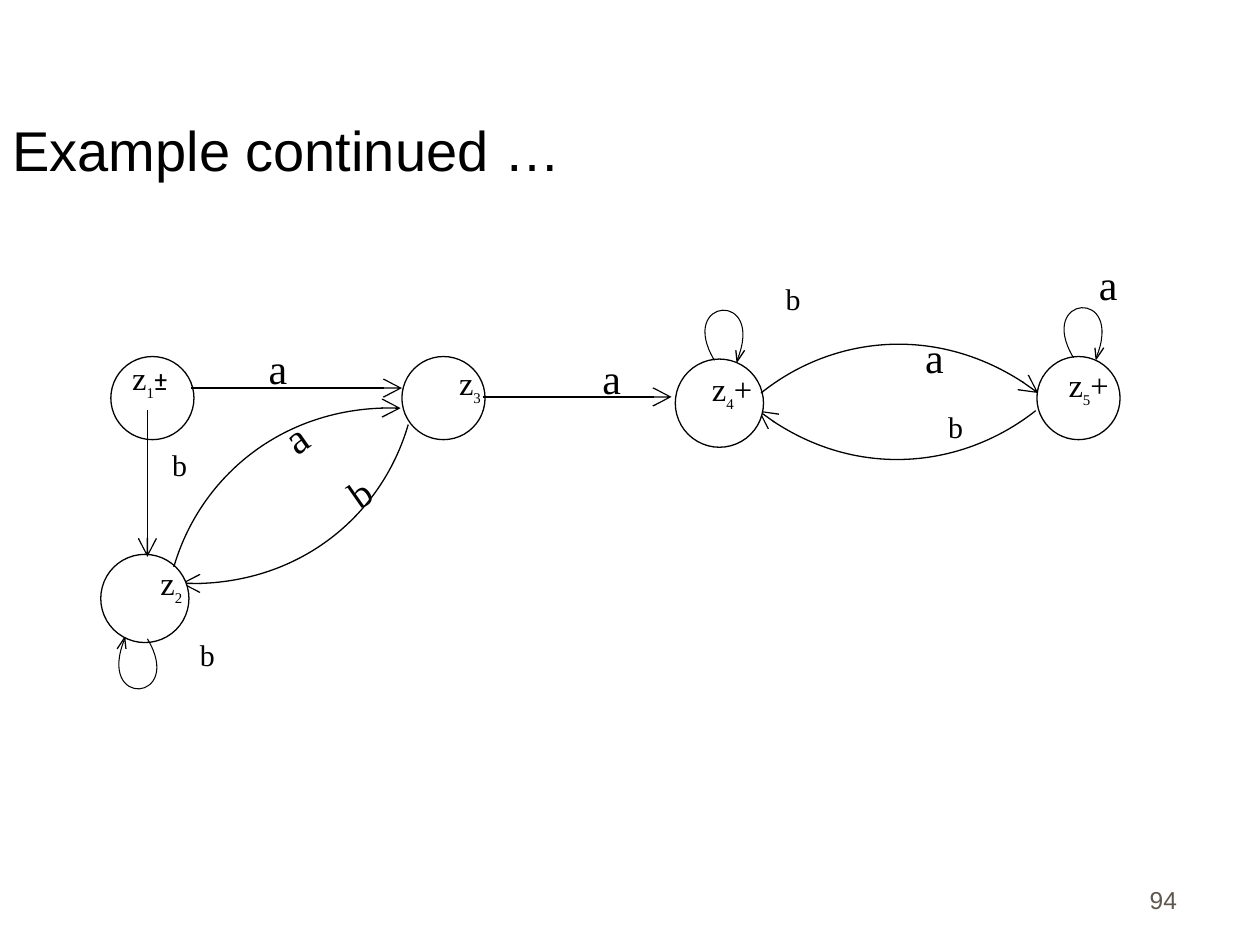
import pptx
import pptx.util
import pptx.dml.color
import pptx.enum.shapes
import pptx.enum.text
import pptx.oxml
import pptx.oxml.ns

PX = 9144  # EMU in one px, 100 px to the inch
BLACK = pptx.dml.color.RGBColor(0x00, 0x00, 0x00)
WHITE = pptx.dml.color.RGBColor(0xFF, 0xFF, 0xFF)
GREY = pptx.dml.color.RGBColor(0x5E, 0x57, 0x4E)
SERIF = "Times New Roman"
ALIGN = pptx.enum.text.PP_ALIGN
ANCHOR = pptx.enum.text.MSO_ANCHOR

# States: circle (x, y, size), label corner, name, index, mark
STATES = [
    ((8, 83, 66), (-1, 83), "z", "1", "±"),
    ((0, 240, 70), (16, 246), "z", "2", ""),
    ((239, 83, 66), (253, 87), "z", "3", ""),
    ((456, 85, 70), (461, 92), "z", "4", "+"),
    ((743, 83, 66), (744, 89), "z", "5", "+"),
]
# Curved edges: start, two control points, end
ARCS_B = [
    [(742, 126), (685, 171), (594, 182), (522, 126)],
    [(244, 137), (224, 206), (156, 267), (64, 263)],
]
ARCS_A = [
    [(524, 112), (580, 67), (671, 56), (744, 112)],
    [(58, 250), (78, 181), (147, 120), (238, 124)],
]
EDGES = [(303, 115, 453, 115), (37, 125, 37, 242), (72, 108, 239, 108)]
# Self loops: foot, and 1 for upward or -1 for downward
LOOPS = [((496, 86), 1), ((781, 84), 1), ((28, 307), -1)]
LOOP = [(-9, 0), (-39, -50), (32, -56), (9, 0)]
HEAD = [(15, -8), (9, 1), (8, -8)]
# Edge letters: x, y, turn
MARKS_A = [(624, 58, 0), (368, 75, 0), (103, 67, 0), (762, 0, 0), (118, 122, 325)]
MARKS_B = [(628, 125, 0), (499, 23, 0), (12, 155, 0), (34, 306, 0), (153, 168, 325)]


def text(slide, box, words, size, font, color=BLACK, align=ALIGN.CENTER,
         anchor=ANCHOR.TOP, space=None, turn=0):
    shape = slide.shapes.add_textbox(*(v * PX for v in box))
    shape.rotation = turn
    frame = shape.text_frame
    frame.word_wrap = True
    frame.vertical_anchor = anchor
    para = frame.paragraphs[0]
    para.alignment = align
    para.line_spacing = space
    para.font.size = pptx.util.Pt(size)
    para.font.name = font
    para.font.color.rgb = color
    para.add_run().text = words
    return para


def stroke(shape, width=0.75, arrow=False):
    shape.line.color.rgb = BLACK
    shape.line.width = pptx.util.Pt(width)
    if arrow:
        tail = pptx.oxml.parse_xml(
            '<a:tailEnd xmlns:a="http://schemas.openxmlformats.org/drawingml/2006/main"'
            ' type="arrow" w="lg" len="lg"/>')
        shape.line._get_or_add_ln().append(tail)


def trace(slide, points, width=0.75, arrow=False, curve=False):
    form = slide.shapes.build_freeform(*points[0], scale=PX)
    form.add_line_segments(points[1:], close=False)
    shape = form.convert_to_shape()
    shape.shadow.inherit = False
    shape.fill.background()
    stroke(shape, width, arrow)
    if curve:  # join the three segments into one Bezier curve
        qn = pptx.oxml.ns.qn
        route = next(shape._element.iter(qn("a:path")))
        bend = route.makeelement(qn("a:cubicBezTo"), {})
        for part in route.findall(qn("a:lnTo")):
            bend.append(part[0])
            route.remove(part)
        route.append(bend)


def title(slide, box):
    text(slide, box, "Example continued …", 32, "Arial",
         align=ALIGN.LEFT, anchor=ANCHOR.BOTTOM)


def footer(slide, box):
    text(slide, box, "94", 14, "Arial", GREY, ALIGN.RIGHT, ANCHOR.BOTTOM)


def graph(slide, box):
    left, top = box

    def move(points):
        return [(left + x, top + y) for x, y in points]

    # Edges that end beneath a state
    for arc in ARCS_B:
        trace(slide, move(arc), arrow=True, curve=True)

    # State circles
    for (x, y, size), *_ in STATES:
        disc = slide.shapes.add_shape(
            pptx.enum.shapes.MSO_SHAPE.OVAL,
            (left + x) * PX, (top + y) * PX, size * PX, size * PX)
        disc.shadow.inherit = False
        disc.fill.solid()
        disc.fill.fore_color.rgb = WHITE
        stroke(disc)

    # Edges on top
    for arc in ARCS_A:
        trace(slide, move(arc), arrow=True, curve=True)
    for x1, y1, x2, y2 in EDGES:
        line = slide.shapes.add_connector(
            pptx.enum.shapes.MSO_CONNECTOR.STRAIGHT,
            (left + x1) * PX, (top + y1) * PX, (left + x2) * PX, (top + y2) * PX)
        stroke(line, arrow=True)
        line._element.spPr.append(pptx.oxml.parse_xml(
            '<a:effectLst xmlns:a="http://schemas.openxmlformats.org/drawingml/2006/main"/>'))

    # Self loops with open heads
    for (x, y), way in LOOPS:
        def place(points):
            return move([(x + way * dx, y + way * dy) for dx, dy in points])
        trace(slide, place(LOOP), width=0.6, curve=True)
        trace(slide, place(HEAD))

    # State names
    for _, (x, y), name, index, mark in STATES:
        para = text(slide, (left + x, top + y, 80, 46), name, 18.6, SERIF, space=0.8)
        sub = para.add_run()
        sub.text = index
        sub.font.size = pptx.util.Pt(14.7)
        sub._r.get_or_add_rPr().set("baseline", "-30000")
        if mark:
            sign = para.add_run()
            sign.text = mark
            if mark == "±":
                sign.font.size = pptx.util.Pt(14.7)
                sign.font.name = "Roboto"

    # Edge letters
    for x, y, turn in MARKS_A:
        text(slide, (left + x, top + y, 75, 54), "a", 24, SERIF, turn=turn)
    for x, y, turn in MARKS_B:
        size, space = (22, None) if turn else (17.1, 0.8)
        text(slide, (left + x, top + y, 101, 41), "b", size, SERIF,
             space=space, turn=turn)


def main():
    deck = pptx.Presentation()
    deck.slide_width, deck.slide_height = 1000 * PX, 750 * PX
    slide = deck.slides.add_slide(deck.slide_layouts[6])
    footer(slide, (736, 681, 208, 50))
    title(slide, (0, 25, 850, 125))
    graph(slide, (80, 200))
    deck.save("out.pptx")


if __name__ == "__main__":
    main()
